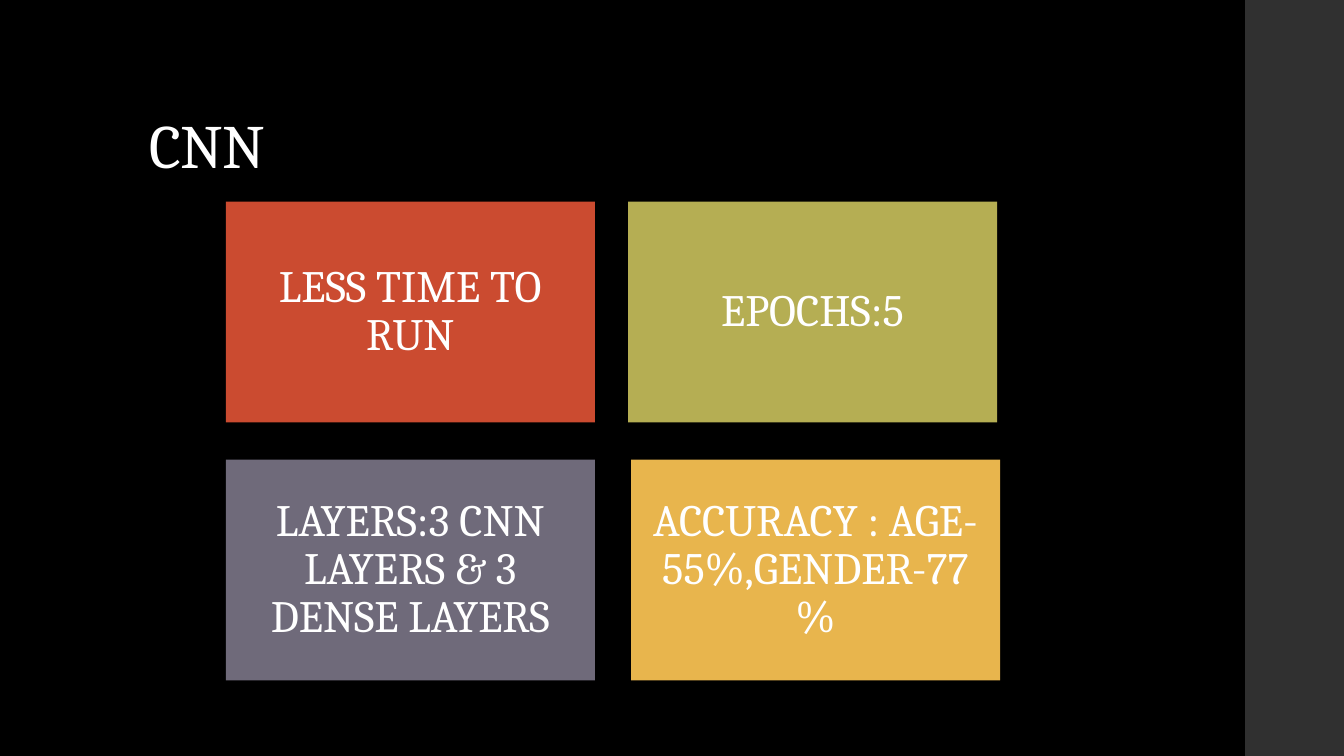
import pptx
import pptx.util
import pptx.dml.color
import pptx.enum.shapes
import pptx.enum.text

Inches = pptx.util.Inches
Pt = pptx.util.Pt
RGBColor = pptx.dml.color.RGBColor

BLACK = RGBColor(0x00, 0x00, 0x00)
WHITE = RGBColor(0xFF, 0xFF, 0xFF)
CHARCOAL = RGBColor(0x30, 0x30, 0x30)
RED = RGBColor(0xCB, 0x4B, 0x30)
OLIVE = RGBColor(0xB5, 0xAE, 0x53)
PURPLE = RGBColor(0x6F, 0x6A, 0x7A)
GOLD = RGBColor(0xE8, 0xB5, 0x4D)

FONT = "Cambria"
TITLE = "CNN"
CARDS = [
    ("LESS TIME TO RUN", RED, 0),
    ("EPOCHS:5", OLIVE, 0),
    ("LAYERS:3 CNN LAYERS & 3 DENSE LAYERS", PURPLE, 0),
    ("ACCURACY : AGE- 55%,GENDER-77%", GOLD, 0.03),
]
COLUMNS = 2
GRID_LEFT, GRID_TOP = 2.24, 2
CARD_WIDTH, CARD_HEIGHT = 3.66, 2.19
COLUMN_GAP, ROW_GAP = 0.33, 0.37
CARD_INSET = 0.13


def add_rectangle(slide, left, top, width, height, color):
    shape = slide.shapes.add_shape(
        pptx.enum.shapes.MSO_SHAPE.RECTANGLE,
        Inches(left), Inches(top), Inches(width), Inches(height))
    shape.shadow.inherit = False
    shape.fill.solid()
    shape.fill.fore_color.rgb = color
    shape.line.fill.background()
    return shape


def write_text(shape, text, size, alignment, anchor):
    frame = shape.text_frame
    frame.word_wrap = True
    frame.auto_size = pptx.enum.text.MSO_AUTO_SIZE.NONE
    frame.vertical_anchor = anchor
    paragraph = frame.paragraphs[0]
    paragraph.alignment = alignment
    paragraph.line_spacing = 0.9
    run = paragraph.add_run()
    run.text = text
    run.font.name = FONT
    run.font.size = Pt(size)
    run.font.color.rgb = WHITE
    return run


def add_card(slide, index, text, color, shift):
    row, column = divmod(index, COLUMNS)
    left = GRID_LEFT + column * (CARD_WIDTH + COLUMN_GAP) + shift
    top = GRID_TOP + row * (CARD_HEIGHT + ROW_GAP)
    card = add_rectangle(slide, left, top, CARD_WIDTH, CARD_HEIGHT, color)
    frame = card.text_frame
    frame.margin_left = frame.margin_right = Inches(CARD_INSET)
    frame.margin_top = frame.margin_bottom = Inches(CARD_INSET)
    write_text(card, text, 32, pptx.enum.text.PP_ALIGN.CENTER,
               pptx.enum.text.MSO_ANCHOR.MIDDLE)


def main():
    presentation = pptx.Presentation()
    presentation.slide_width = Inches(13.33)
    presentation.slide_height = Inches(7.5)
    slide = presentation.slides.add_slide(presentation.slide_layouts[5])
    slide.background.fill.solid()
    slide.background.fill.fore_color.rgb = BLACK

    add_rectangle(slide, 12.35, 0, 0.98, 7.5, CHARCOAL)

    title = slide.shapes.title
    title.left, title.top = Inches(1.38), Inches(0.4)
    title.width, title.height = Inches(10.6), Inches(1.45)
    run = write_text(title, TITLE, 44, pptx.enum.text.PP_ALIGN.LEFT,
                     pptx.enum.text.MSO_ANCHOR.BOTTOM)
    run.font._element.set("spc", "-50")

    for index, card in enumerate(CARDS):
        add_card(slide, index, *card)

    presentation.save("out.pptx")


if __name__ == "__main__":
    main()
